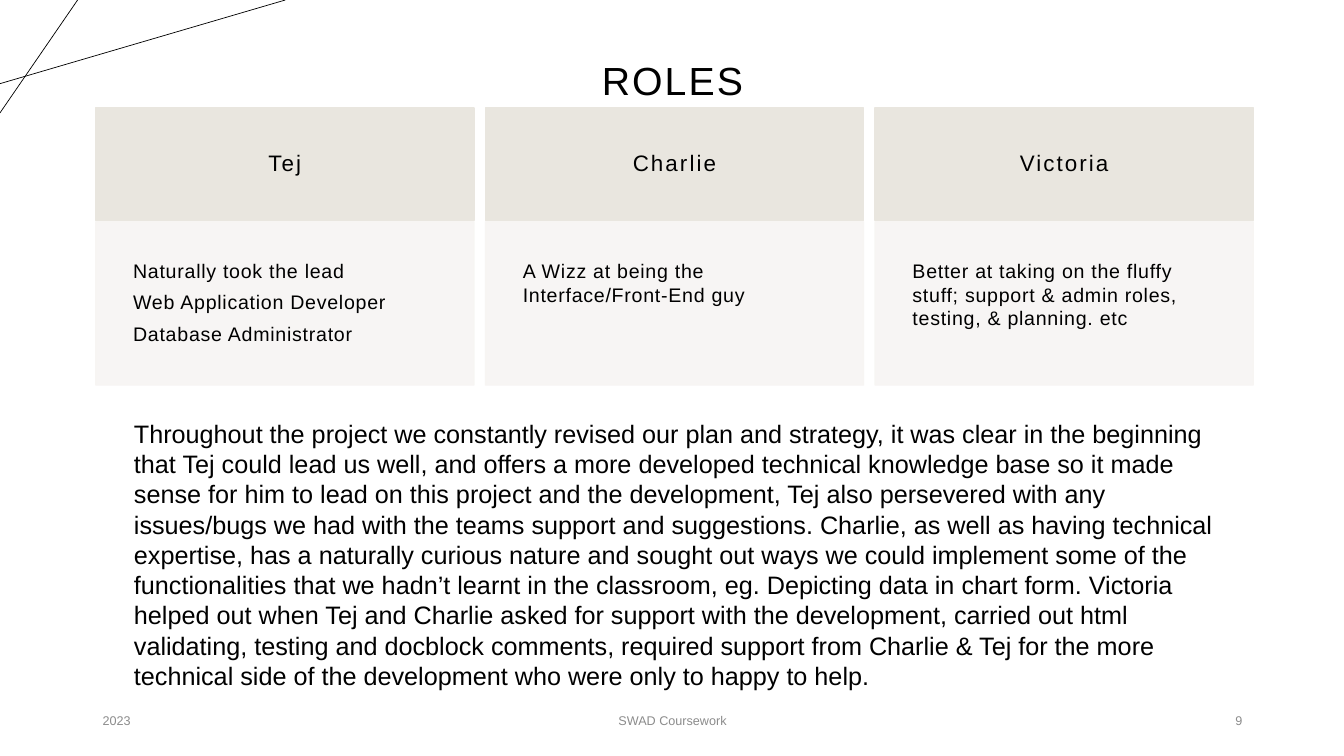
from lxml import etree
from pptx import Presentation
from pptx.dml.color import RGBColor
from pptx.enum import shapes, text
from pptx.oxml import ns
from pptx.util import Inches, Pt

COLORS = {"black": "000000", "header": "E9E6DF", "panel": "F7F5F3", "footer": "8C8C8C"}
ALIGN = text.PP_ALIGN
ANCHOR = text.MSO_ANCHOR

prs = Presentation()
prs.slide_width, prs.slide_height = Inches(13.33), Inches(7.5)
s = prs.slides.add_slide(prs.slide_layouts[6])


def write(sp, content, size, color="black", align=ALIGN.LEFT, anchor=ANCHOR.MIDDLE,
          inset=None, spacing=None, line=None, after=None):
    """Fill a shape with one paragraph per line; spacing is between letters, in points."""
    tf = sp.text_frame
    tf.word_wrap = True
    tf.vertical_anchor = anchor
    if inset is not None:
        tf.margin_left = tf.margin_top = tf.margin_right = tf.margin_bottom = Inches(inset)
    for i, words in enumerate(content.split("\n")):
        p = tf.add_paragraph() if i else tf.paragraphs[0]
        p.alignment = align
        if line:
            p.line_spacing = line
        if after:
            p.space_after = Pt(after)
        r = p.add_run()
        r.text = words
        r.font.name = "Arial"
        r.font.size = Pt(size)
        r.font.color.rgb = RGBColor.from_string(COLORS[color])
        if spacing:
            r.font._element.set("spc", str(int(spacing * 100)))


def add_block(left, top, height, color, opacity=100):
    sp = s.shapes.add_shape(shapes.MSO_SHAPE.RECTANGLE, Inches(left), Inches(top),
                            Inches(3.75), Inches(height))
    sp.shadow.inherit = False
    sp.fill.solid()
    sp.line.fill.solid()
    sp.line.width = Pt(1)
    for paint in (sp.fill, sp.line.fill):
        paint.fore_color.rgb = RGBColor.from_string(COLORS[color])
    if opacity < 100:
        for clr in sp._element.spPr.iter(ns.qn("a:srgbClr")):
            etree.SubElement(clr, ns.qn("a:alpha")).set("val", str(opacity * 1000))
    return sp


# Corner lines
for ends in ((0, 0.83, 2.83, 0), (0.77, 0, 0, 1.12)):
    corner = s.shapes.add_connector(shapes.MSO_CONNECTOR.STRAIGHT, *map(Inches, ends))
    corner.line.width = Pt(0.5)
    corner.line.color.rgb = RGBColor.from_string(COLORS["black"])
    etree.SubElement(corner._element.spPr, ns.qn("a:effectLst"))

title = s.shapes.add_textbox(Inches(0.92), Inches(0.4), Inches(11.5), Inches(0.85))
write(title, "ROLES", 28, align=ALIGN.CENTER, spacing=1.5, line=0.9)

# Role columns
roles = [
    ("Tej", "Naturally took the lead\nWeb Application Developer\nDatabase Administrator"),
    ("Charlie", "A Wizz at being the Interface/Front-End guy"),
    ("Victoria", "Better at taking on the fluffy stuff; support & admin roles, "
                 "testing, & planning. etc"),
]
for i, (name, duties) in enumerate(roles):
    left = 0.95 + i * 3.865
    header = add_block(left, 1.07, 1.12, "header")
    write(header, name, 16, align=ALIGN.CENTER, inset=0.3, spacing=1.5, line=0.9)
    panel = add_block(left, 2.2, 1.62, "panel", opacity=90)
    write(panel, duties, 14, anchor=ANCHOR.TOP, inset=0.37, spacing=0.5, after=5.5)

# Footer
for left, width, words, align in (
    (0.92, 3, "2023", ALIGN.LEFT),
    (4.42, 4.5, "SWAD Coursework", ALIGN.CENTER),
    (9.42, 3, "9", ALIGN.RIGHT),
):
    footer = s.shapes.add_textbox(Inches(left), Inches(6.95), Inches(width), Inches(0.4))
    write(footer, words, 9, color="footer", align=align)

# Summary, one sentence per entry
sentences = [
    "Throughout the project we constantly revised our plan and strategy, it was clear in the "
    "beginning that Tej could lead us well, and offers a more developed technical knowledge "
    "base so it made sense for him to lead on this project and the development, Tej also "
    "persevered with any issues/bugs we had with the teams support and suggestions.",
    "Charlie, as well as having technical expertise, has a naturally curious nature and sought "
    "out ways we could implement some of the functionalities that we hadn’t learnt in the "
    "classroom, eg. Depicting data in chart form.",
    "Victoria helped out when Tej and Charlie asked for support with the development, carried "
    "out html validating, testing and docblock comments, required support from Charlie & Tej "
    "for the more technical side of the development who were only to happy to help.",
]
summary = s.shapes.add_textbox(Inches(1.23), Inches(4.1), Inches(10.92), Inches(2.83))
write(summary, " ".join(sentences), 18, anchor=ANCHOR.TOP)

prs.save("out.pptx")
